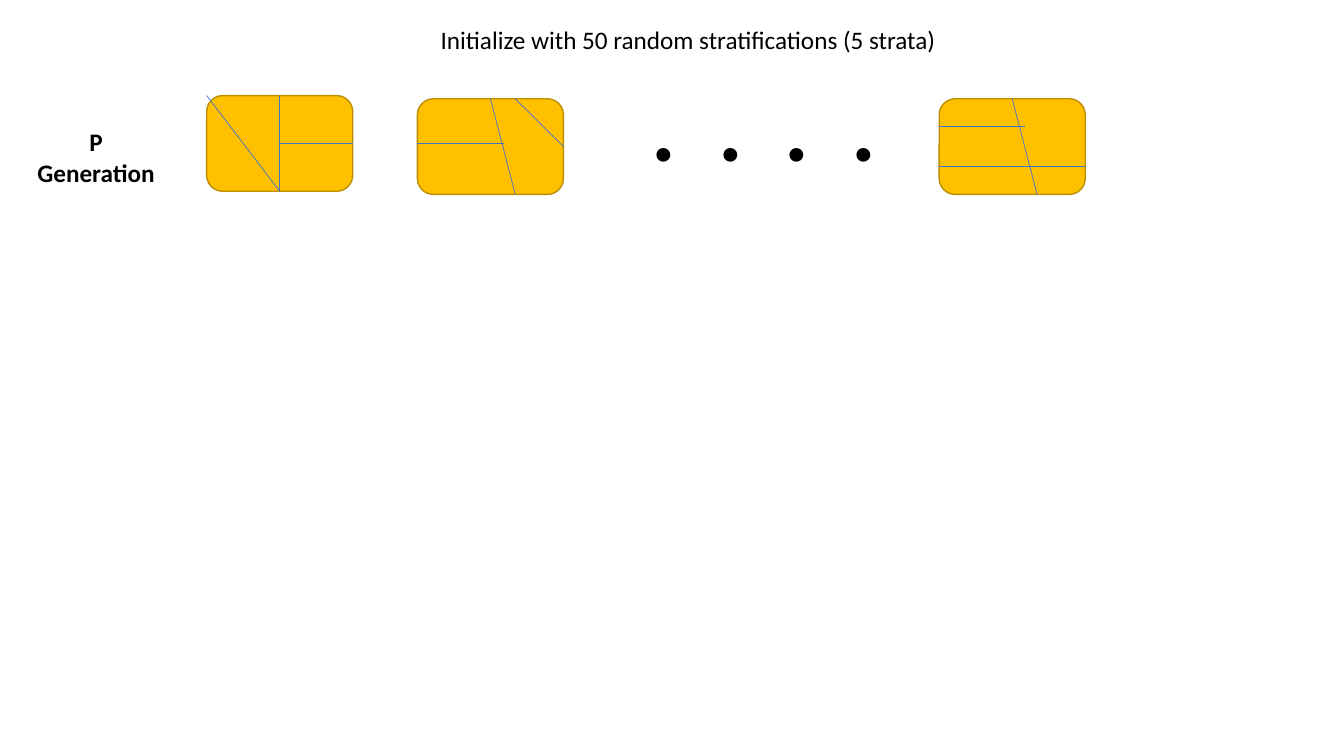
import pptx
import pptx.dml.color
import pptx.enum.shapes
import pptx.enum.text
import pptx.oxml.ns
import pptx.util
from lxml import etree

Cm = pptx.util.Cm
Pt = pptx.util.Pt
RGBColor = pptx.dml.color.RGBColor
PP_ALIGN = pptx.enum.text.PP_ALIGN
MSO_AUTO_SIZE = pptx.enum.text.MSO_AUTO_SIZE

BLACK = RGBColor(0x00, 0x00, 0x00)
GOLD = RGBColor(0xFF, 0xC0, 0x00)
DARK_GOLD = RGBColor(0xBD, 0x8E, 0x00)
BLUE = RGBColor(0x44, 0x72, 0xC4)

MAP_WIDTH, MAP_HEIGHT = 3.68, 2.41

STRATIFICATIONS = [
    ((5.21, 2.41), [(0.5, 0, 0.5, 1), (0, 0, 0.5, 1), (0.5, 0.5, 1, 0.5)]),
    ((10.52, 2.49), [(0.5, 0, 0.67, 1), (0.59, 0.47, 0, 0.47), (0.67, 0, 1, 0.5)]),
    ((23.67, 2.49), [(0.5, 0, 0.67, 1), (0.59, 0.29, 0, 0.29), (0, 0.71, 1, 0.71)]),
]


def write_text(holder, box, wording, size, bold=False, align=PP_ALIGN.LEFT, wrap=True):
    holder.left, holder.top, holder.width, holder.height = map(Cm, box)
    frame = holder.text_frame
    frame_format = {
        "word_wrap": wrap,
        "auto_size": MSO_AUTO_SIZE.SHAPE_TO_FIT_TEXT,
        "vertical_anchor": pptx.enum.text.MSO_ANCHOR.TOP,
    }
    for attribute, value in frame_format.items():
        setattr(frame, attribute, value)
    paragraph = frame.paragraphs[0]
    paragraph.alignment = align
    run = paragraph.add_run()
    run.text = wording
    font_format = {"name": "Calibri", "size": Pt(size), "bold": bold}
    for attribute, value in font_format.items():
        setattr(run.font, attribute, value)
    run.font.color.rgb = BLACK
    return run


def add_heading(slide, box):
    write_text(slide.shapes.title, box,
               "Initialize with 50 random stratifications (5 strata)", 18, wrap=False)


def add_generation_label(slide, box):
    label = slide.shapes.add_textbox(0, 0, 0, 0)
    write_text(label, box, "P Generation", 18, bold=True, align=PP_ALIGN.CENTER)


def add_ellipsis(slide, box):
    ellipsis = slide.shapes.add_textbox(0, 0, 0, 0)
    dots = write_text(ellipsis, box, ". . . .", 66, bold=True)
    dots.font._element.set("spc", "750")


def add_stratification(slide, box, cuts):
    left, top, width, height = box
    area = slide.shapes.add_shape(
        pptx.enum.shapes.MSO_SHAPE.ROUNDED_RECTANGLE, *map(Cm, box))
    area.shadow.inherit = False
    area.fill.solid()
    area.fill.fore_color.rgb = GOLD
    area.line.color.rgb = DARK_GOLD
    area.line.width = Pt(1)
    for x1, y1, x2, y2 in cuts:
        boundary = slide.shapes.add_connector(
            pptx.enum.shapes.MSO_CONNECTOR.STRAIGHT,
            Cm(left + x1 * width), Cm(top + y1 * height),
            Cm(left + x2 * width), Cm(top + y2 * height))
        boundary.line.color.rgb = BLUE
        boundary.line.width = Pt(0.5)
        etree.SubElement(boundary._element.spPr, pptx.oxml.ns.qn("a:effectLst"))


def main():
    deck = pptx.Presentation()
    deck.slide_width, deck.slide_height = Cm(33.87), Cm(19.05)
    slide = deck.slides.add_slide(deck.slide_layouts[5])
    add_heading(slide, (10.85, 0.48, 13.13, 1.02))
    add_ellipsis(slide, (16.18, 1.63, 6.78, 3.07))
    for corner, cuts in STRATIFICATIONS:
        add_stratification(slide, (*corner, MAP_WIDTH, MAP_HEIGHT), cuts)
    add_generation_label(slide, (0.58, 3.07, 3.68, 1.8))
    deck.save("out.pptx")


if __name__ == "__main__":
    main()
